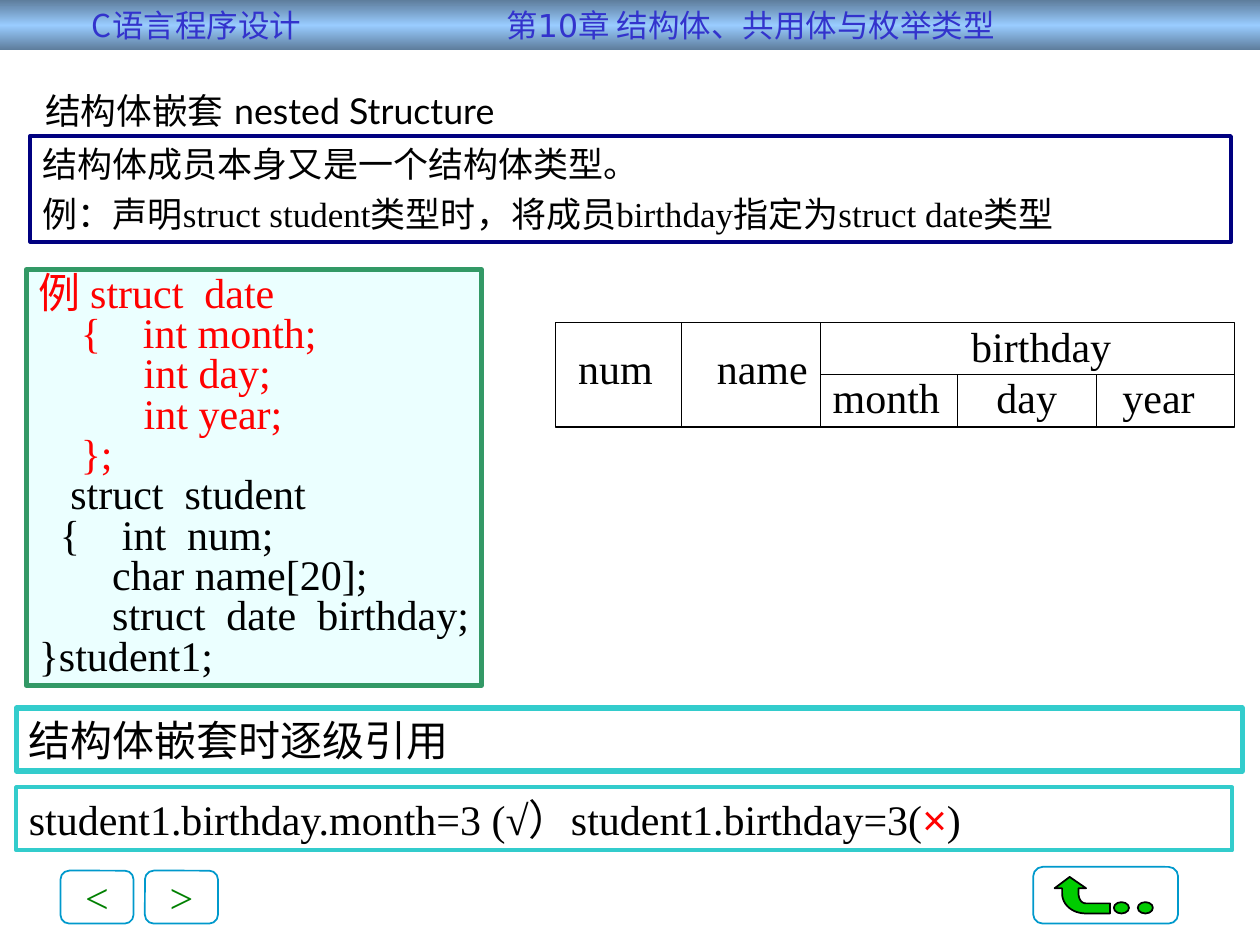
from dataclasses import dataclass
from typing import Optional, Sequence

from copy import deepcopy
from lxml.etree import SubElement
from pptx import Presentation
from pptx.dml.color import RGBColor
from pptx.enum.shapes import MSO_CONNECTOR as Connector, MSO_SHAPE as Preset
from pptx.enum.text import MSO_ANCHOR as Anchor, PP_ALIGN as Align
from pptx.oxml.ns import qn
from pptx.util import Inches, Pt


@dataclass(frozen=True)
class Theme:
    serif: str = "Times New Roman"
    sans: str = "DejaVu Sans"
    chinese: str = "Noto Sans CJK SC"
    title_font: str = "Lato"
    symbol_font: str = "Arial"
    black: str = "000000"
    red: str = "FF0000"
    header_text: str = "3333CC"
    header_edge: str = "5D7C9B"
    header_middle: str = "99CCFF"
    button_line: str = "0099CC"
    button_text: str = "008000"
    icon: str = "00CC00"
    code_fill: str = "EBFFFF"
    code_line: str = "339966"
    navy: str = "000080"
    teal: str = "33CCCC"
    header_size: float = 18
    body_size: float = 20
    title_size: float = 20.4
    gap_size: float = 27.2
    large_size: float = 24


THEME = Theme()


@dataclass(frozen=True)
class Span:
    text: str
    font: Optional[str] = None
    color: Optional[str] = None
    size: Optional[float] = None


@dataclass(frozen=True)
class Para:
    spans: Sequence[Span]
    font: str = THEME.serif
    color: str = THEME.black
    size: float = THEME.large_size
    align: Align = Align.LEFT
    spacing: float = 1.0
    before: float = 0
    tab: Optional[float] = None


@dataclass(frozen=True)
class Box:
    left: float
    top: float
    width: float
    height: float
    paras: Sequence[Para] = ()
    line: Optional[str] = None
    weight: float = 1
    fill: Optional[str] = None
    preset: Preset = Preset.RECTANGLE
    anchor: Anchor = Anchor.TOP
    wrap: bool = True
    inset: float = 0.1


def style_font(font, item) -> None:
    if item.font:
        font.name = item.font
    if item.size:
        font.size = Pt(item.size)
    if item.color:
        font.color.rgb = RGBColor.from_string(item.color)


def write_paras(frame, box: Box) -> None:
    frame.word_wrap = box.wrap
    frame.vertical_anchor = box.anchor
    frame.margin_left = Inches(box.inset)
    for index, para in enumerate(box.paras):
        paragraph = frame.paragraphs[0] if index == 0 else frame.add_paragraph()
        paragraph.alignment = para.align
        paragraph.line_spacing = para.spacing
        paragraph.space_before = Pt(para.before)
        if para.tab:
            tabs = SubElement(paragraph._p.get_or_add_pPr(), qn("a:tabLst"))
            SubElement(tabs, qn("a:tab"), pos=str(Inches(para.tab)), algn="l")
        style_font(paragraph.font, para)
        for span in para.spans:
            run = paragraph.add_run()
            run.text = span.text
            style_font(run.font, span)


def paint(shape, fill: Optional[str], line: Optional[str], weight: float) -> None:
    shape.shadow.inherit = False
    if fill:
        shape.fill.solid()
        shape.fill.fore_color.rgb = RGBColor.from_string(fill)
    else:
        shape.fill.background()
    if line:
        shape.line.color.rgb = RGBColor.from_string(line)
        shape.line.width = Pt(weight)
    else:
        shape.line.fill.background()


def draw_box(page, box: Box):
    place = [Inches(n) for n in (box.left, box.top, box.width, box.height)]
    if box.line or box.fill:
        shape = page.shapes.add_shape(box.preset, *place)
        paint(shape, box.fill, box.line, box.weight)
    else:
        shape = page.shapes.add_textbox(*place)
    if box.paras:
        write_paras(shape.text_frame, box)
    return shape


def draw_line(page, x1: float, y1: float, x2: float, y2: float) -> None:
    rule = page.shapes.add_connector(Connector.STRAIGHT, *map(Inches, (x1, y1, x2, y2)))
    rule.line.color.rgb = RGBColor.from_string(THEME.black)
    rule.line.width = Pt(0.75)
    SubElement(rule._element.spPr, qn("a:effectLst"))


def draw_header(page) -> None:
    para = Para([Span("C语言程序设计\t", font=THEME.chinese),
                 Span("第10章 结构体、共用体与枚举类型")],
                THEME.sans, THEME.header_text, THEME.header_size, tab=3.29)
    band = draw_box(page, Box(0, 0, 10, 0.4, [para], fill=THEME.header_middle,
                              anchor=Anchor.MIDDLE, inset=0.73))
    band.fill.gradient()
    band.fill.gradient_angle = 90
    first, last = band.fill.gradient_stops
    for stop in (first, last):
        stop.color.rgb = RGBColor.from_string(THEME.header_edge)
    first.position, last.position = 0, 1
    first._gs.addnext(deepcopy(first._gs))
    middle = band.fill.gradient_stops[1]
    middle.position = 0.5
    middle.color.rgb = RGBColor.from_string(THEME.header_middle)


def curve(points: Sequence[tuple], steps: int = 12) -> list:
    weights = [((1 - t) ** 3, 3 * t * (1 - t) ** 2, 3 * t * t * (1 - t), t ** 3)
               for t in (n / steps for n in range(1, steps + 1))]
    return [tuple(sum(w * p[axis] for w, p in zip(row, points)) for axis in (0, 1))
            for row in weights]


def draw_navigation(page) -> None:
    for left, sign in ((1.15, ">"), (0.48, "<")):
        label = Para([Span(sign)], color=THEME.button_text, align=Align.CENTER)
        draw_box(page, Box(left, 6.91, 0.58, 0.42, [label], THEME.button_line,
                           preset=Preset.ROUNDED_RECTANGLE, anchor=Anchor.MIDDLE, wrap=False))
    outer = curve([(8.43, 7.09), (8.43, 7.18), (8.51, 7.25), (8.62, 7.25)])
    inner = curve([(8.62, 7.17), (8.58, 7.17), (8.56, 7.13), (8.56, 7.09)])
    outline = [(8.37, 7.05), (8.43, 7.05), (8.43, 7.09), *outer, (8.81, 7.25),
               (8.81, 7.17), (8.62, 7.17), *inner, (8.56, 7.05), (8.62, 7.05)]
    builder = page.shapes.build_freeform(Inches(8.49), Inches(6.96))
    builder.add_line_segments([(Inches(x), Inches(y)) for x, y in outline], close=True)
    paint(builder.convert_to_shape(), THEME.icon, THEME.black, 1)
    for left in (8.84, 9.03):
        draw_box(page, Box(left, 7.16, 0.12, 0.09, line=THEME.black, fill=THEME.icon,
                           preset=Preset.OVAL))
    draw_box(page, Box(8.2, 6.88, 1.15, 0.45, line=THEME.button_line,
                       preset=Preset.ROUNDED_RECTANGLE))


def draw_code(page) -> None:
    date_code = ["例 struct  date", "    {    int month;", "          int day;",
                 "          int year;", "    };"]
    student_code = ["   struct  student", "  {    int  num;", "       char name[20];",
                    "       struct  date  birthday;", "}student1;"]
    paras = [Para([Span(text)], color=color, spacing=0.8)
             for color, lines in ((THEME.red, date_code), (THEME.black, student_code))
             for text in lines]
    draw_box(page, Box(0.21, 2.14, 3.61, 3.3, paras, THEME.code_line, 3, THEME.code_fill,
                       anchor=Anchor.MIDDLE, wrap=False))


def draw_record(page) -> None:
    left, top, right, bottom, middle = 4.41, 2.56, 9.8, 3.39, 2.97
    draw_box(page, Box(left, top, right - left, bottom - top, line=THEME.black, weight=0.75))
    for x, start in ((5.41, top), (6.51, top), (7.6, middle), (8.7, middle)):
        draw_line(page, x, start, x, bottom)
    draw_line(page, 6.51, middle, right, middle)
    for text, x, y, width in (("num", 4.49, 2.75, 0.79), ("name", 5.59, 2.75, 0.92),
                              ("birthday", 7.61, 2.57, 1.31), ("month", 6.51, 2.98, 1.05),
                              ("day", 7.81, 2.98, 0.68), ("year", 8.81, 2.98, 0.77)):
        draw_box(page, Box(x, y, width, 0.42, [Para([Span(text)], spacing=0.8)], wrap=False))


def main() -> None:
    deck = Presentation()
    deck.slide_width, deck.slide_height = Inches(10), Inches(7.5)
    page = deck.slides.add_slide(deck.slide_layouts[6])
    draw_header(page)
    draw_navigation(page)
    title = Para([Span("结构体嵌套"), Span(" ", size=THEME.gap_size), Span("nested Structure")],
                 THEME.title_font, size=THEME.title_size)
    draw_box(page, Box(0.26, 0.56, 9.54, 0.6, [title]))
    draw_code(page)
    draw_record(page)
    rule = Para([Span("结构体成员本身又是一个结构体类型。")], size=THEME.body_size)
    example = Para([Span("例：声明struct student类型时，将成员birthday指定为struct date类型")],
                   size=THEME.body_size, before=5)
    draw_box(page, Box(0.24, 1.08, 9.53, 0.84, [rule, example], THEME.navy, 2.25))
    draw_box(page, Box(0.13, 5.62, 9.73, 0.5, [Para([Span("结构体嵌套时逐级引用")])],
                       THEME.teal, 3))
    access = Para([Span("student1.birthday.month=3 (√）student1.birthday=3("),
                   Span("×", THEME.symbol_font, THEME.red), Span(")")])
    draw_box(page, Box(0.13, 6.25, 9.65, 0.5, [access], THEME.teal, 2.25))
    deck.save("out.pptx")


if __name__ == "__main__":
    main()
